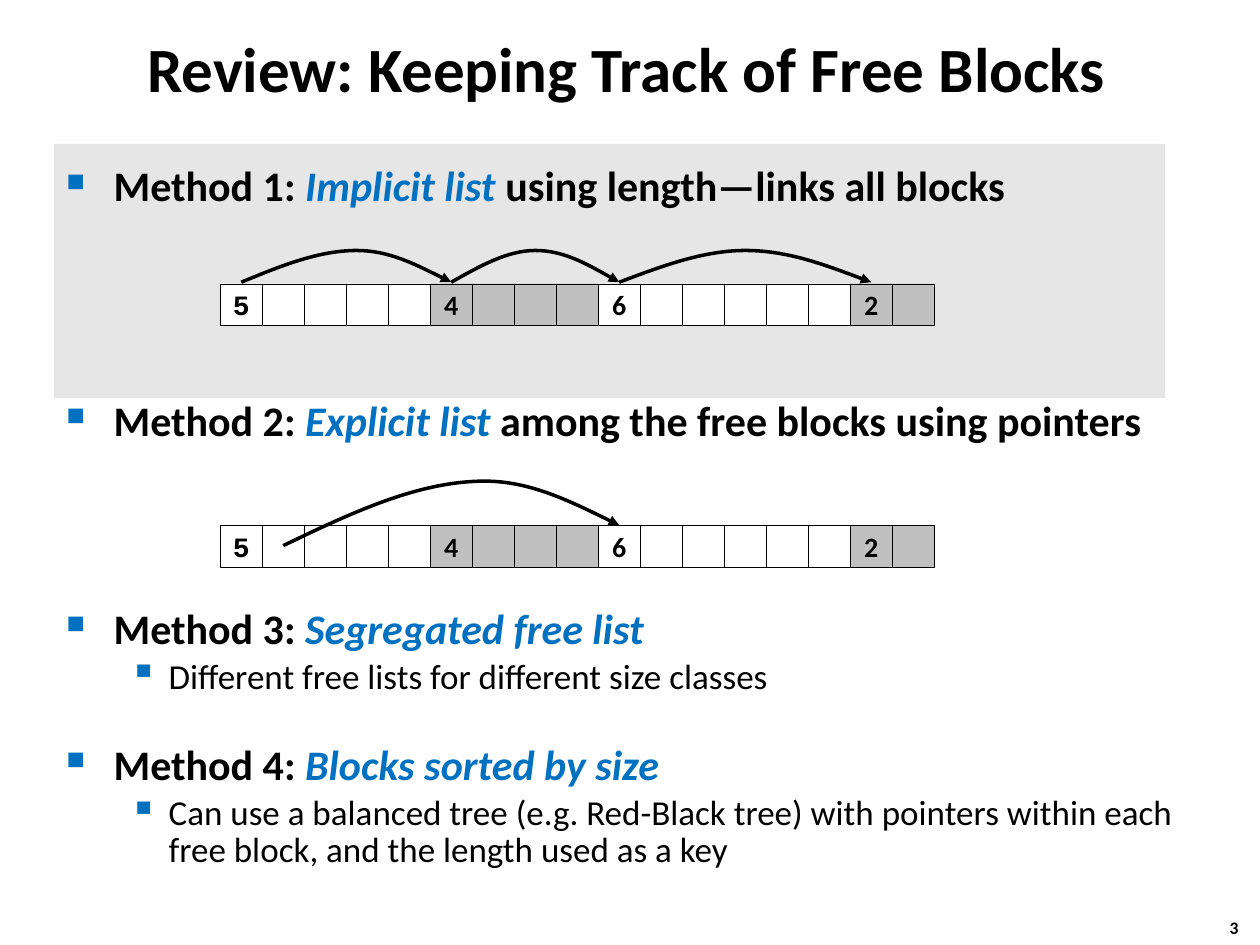
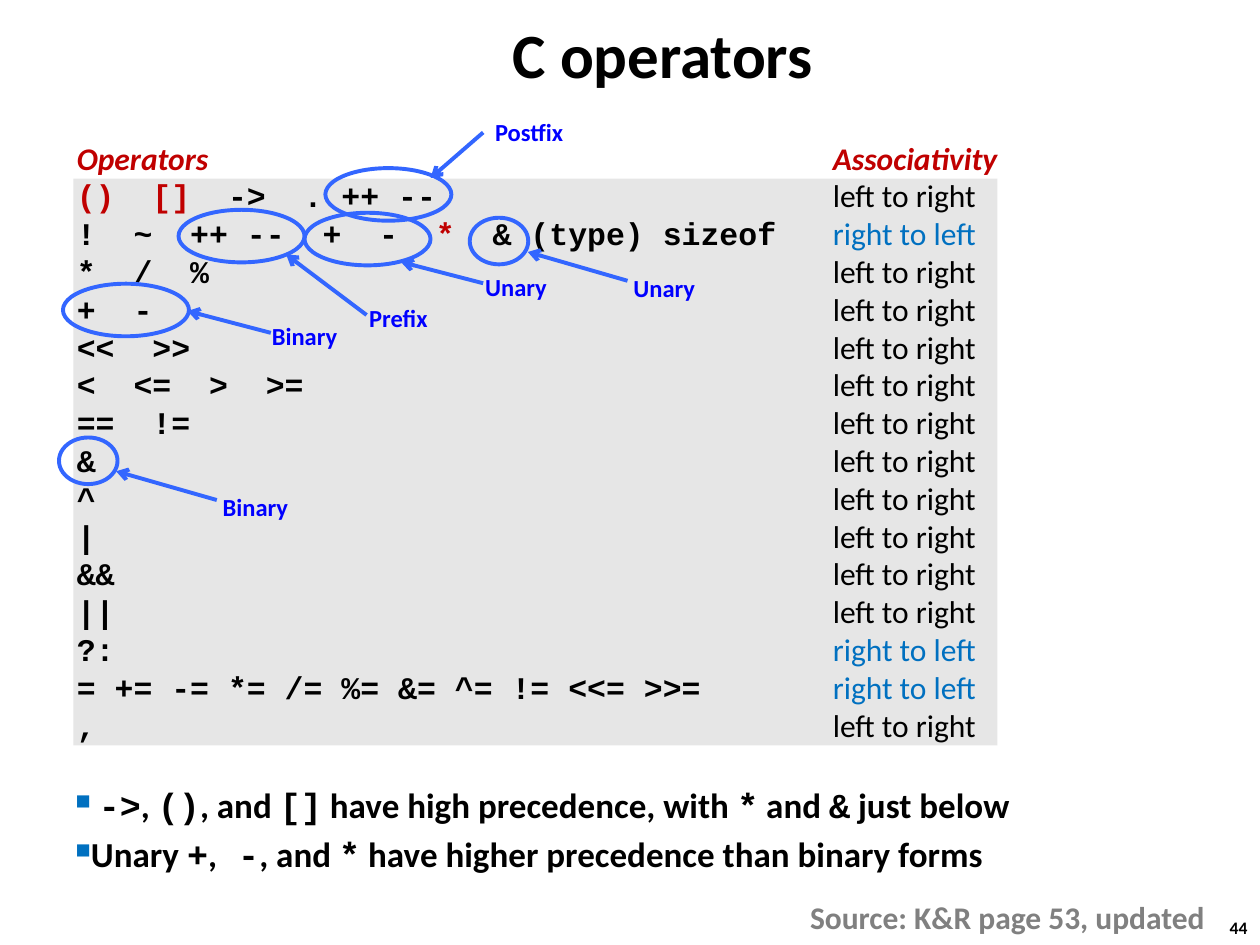
"""Build two slides on free-block tracking and C operator precedence."""
from itertools import cycle

from lxml.etree import SubElement
from pptx import Presentation
from pptx.dml.color import RGBColor
from pptx.enum.shapes import MSO_CONNECTOR, MSO_SHAPE
from pptx.enum.text import MSO_ANCHOR, PP_ALIGN
from pptx.oxml.ns import qn
from pptx.util import Cm, Pt

COLORS = {
    "black": "000000",
    "white": "FFFFFF",
    "band": "E6E6E6",
    "allocated": "C0C0C0",
    "accent": "0070C0",
    "red": "C00000",
    "label": "0000FF",
    "callout": "3366FF",
    "source": "808080",
}
SANS, MONO = "Calibri", "Courier New"
TITLE_ONLY = 5

CELL = 2.54 / 3
ROW_LEFT = 4.44
BLOCKS = [(5, "white"), (4, "allocated"), (6, "white"), (2, "allocated")]

METHODS = [
    ("Method 1: ", "Implicit list ", "using length—links all blocks", 0, 1, None),
    ("Method 2: ", "Explicit list ", "among the free blocks using pointers", 105, 1, None),
    ("Method 3: ", "Segregated free list", "", 95, 0.83,
     "Different free lists for different size classes"),
    ("Method 4: ", "Blocks sorted by size", "", 29, 0.83,
     "Can use a balanced tree (e.g. Red-Black tree) with pointers within each "
     "free block, and the length used as a key"),
]

LEFT, RIGHT = "left to right", "right to left"
OPERATORS = [
    ([("()  []  ", "red"), ("->  . ++ --", "black")], LEFT),
    ([("!  ~  ++ --  +  -  ", "black"), ("*  ", "red"), ("& (type) sizeof", "black")], RIGHT),
    ([("*  /  %", "black")], LEFT),
    ([("+  -", "black")], LEFT),
    ([("<<  >>", "black")], LEFT),
    ([("<  <=  >  >=", "black")], LEFT),
    ([("==  !=", "black")], LEFT),
    ([("&", "black")], LEFT),
    ([("^", "black")], LEFT),
    ([("|", "black")], LEFT),
    ([("&&", "black")], LEFT),
    ([("||", "black")], LEFT),
    ([("?:", "black")], RIGHT),
    ([("= += -= *= /= %= &= ^= != <<= >>=", "black")], RIGHT),
    ([(",", "black")], LEFT),
]
PRECEDENCE_NOTES = [
    [" ", "->", ", ", "()", ", and ", "[]", " have high precedence, with ", "*",
     " and ", "&", " just below"],
    ["Unary ", "+", ",", " -", ", and ", "*", " have higher precedence than binary forms"],
]

WIDE, SMALL = (2.54, 1.06), (1.18, 0.94)
LABEL_WIDTHS = {"Postfix": 1.93, "Prefix": 1.73, "Unary": 1.8, "Binary": 1.85}
CALLOUTS = [
    ("Postfix", (9.73, 2.24), (6.56, 3.39), WIDE, (9.74, 2.67), (8.68, 3.59)),
    ("Prefix", (7.19, 5.99), (3.6, 4.23), WIDE, (7.39, 6.35), (5.77, 5.13)),
    ("Unary", (9.53, 5.36), (6.14, 4.29), WIDE, (9.74, 5.71), (8.08, 5.28)),
    ("Binary", (5.23, 6.35), (1.27, 5.72), WIDE, (5.46, 6.71), (3.78, 6.27)),
    ("Unary", (12.52, 5.38), (9.47, 4.39), SMALL, (12.65, 5.66), (10.64, 5.08)),
    ("Binary", (4.24, 9.8), (1.19, 8.82), SMALL, (4.37, 10.08), (2.34, 9.5)),
]


def rgb(name):
    return RGBColor.from_string(COLORS[name])


def write(paragraph, text, *, size, font=SANS, color="black", bold=True, italic=False):
    run = paragraph.add_run()
    run.text = text
    run.font.size = Pt(size)
    run.font.name = font
    run.font.color.rgb = rgb(color)
    run.font.bold = bold
    run.font.italic = italic


def add_text_frame(slide, left, top, width, height, wrap=True):
    box = slide.shapes.add_textbox(Cm(left), Cm(top), Cm(width), Cm(height))
    box.text_frame.word_wrap = wrap
    return box.text_frame


def add_label(slide, text, left, top, width, height, **style):
    frame = add_text_frame(slide, left, top, width, height, wrap=False)
    write(frame.paragraphs[0], text, **style)


def next_paragraph(frame):
    first = frame.paragraphs[0]
    return frame.add_paragraph() if first.runs else first


def set_bullet(paragraph, character, percent, margin, indent):
    properties = paragraph._p.get_or_add_pPr()
    properties.set("marL", str(Cm(margin)))
    properties.set("indent", str(Cm(indent)))
    color = SubElement(properties, qn("a:buClr"))
    SubElement(color, qn("a:srgbClr"), val=COLORS["accent"])
    SubElement(properties, qn("a:buSzPct"), val=str(percent * 1000))
    SubElement(properties, qn("a:buChar"), char=character)


def set_tab_stop(paragraph, position):
    stops = SubElement(paragraph._p.get_or_add_pPr(), qn("a:tabLst"))
    SubElement(stops, qn("a:tab"), pos=str(Cm(position)), algn="l")


def style_line(shape, color, width, arrowhead=None):
    shape.line.color.rgb = rgb(color)
    shape.line.width = Pt(width)
    if arrowhead:
        line = shape._element.spPr.find(qn("a:ln"))
        SubElement(line, qn("a:tailEnd"), type=arrowhead)


def add_preset(slide, kind, left, top, width, height, fill=None):
    shape = slide.shapes.add_shape(kind, Cm(left), Cm(top), Cm(width), Cm(height))
    shape.shadow.inherit = False
    shape.line.fill.background()
    if fill:
        shape.fill.solid()
        shape.fill.fore_color.rgb = rgb(fill)
    else:
        shape.fill.background()
    return shape


def add_titled_slide(presentation, text, number, left, top, width, height):
    slide = presentation.slides.add_slide(presentation.slide_layouts[TITLE_ONLY])
    title = slide.shapes.title
    title.left, title.top, title.width, title.height = map(Cm, (left, top, width, height))
    title.text_frame.vertical_anchor = MSO_ANCHOR.MIDDLE
    paragraph = title.text_frame.paragraphs[0]
    paragraph.alignment = PP_ALIGN.CENTER
    write(paragraph, text, size=36)
    add_label(slide, str(number), 24.54, 18.36, 0.94, 0.69, size=10)
    return slide


def add_memory_row(slide, top):
    column = 0
    for length, fill in BLOCKS:
        for offset in range(length):
            cell = add_preset(slide, MSO_SHAPE.RECTANGLE, ROW_LEFT + column * CELL, top,
                              CELL, CELL, fill)
            style_line(cell, "black", 0.25)
            if offset == 0:
                cell.text_frame.word_wrap = False
                cell.text_frame.vertical_anchor = MSO_ANCHOR.MIDDLE
                paragraph = cell.text_frame.paragraphs[0]
                paragraph.alignment = PP_ALIGN.CENTER
                write(paragraph, str(length), size=16, font=SANS if column else MONO)
            column += 1


def add_arc(slide, first_cell, last_cell, start_y, peak_y, end_y, peak_share=0.5):
    """Draw a curved arrow between cell centres as two cubic Bezier segments."""
    start_x = ROW_LEFT + (first_cell + 0.5) * CELL
    span = (last_cell - first_cell) * CELL
    fall = 1 - peak_share
    shares = [peak_share / 3, peak_share * 2 / 3, peak_share,
              peak_share + fall / 3, peak_share + fall * 2 / 3, 1]
    heights = [(start_y + peak_y) / 2, peak_y, peak_y, peak_y, (peak_y + end_y) / 2, end_y]
    points = [(Cm(start_x + span * share), Cm(y)) for share, y in zip(shares, heights)]
    builder = slide.shapes.build_freeform(Cm(start_x), Cm(start_y))
    builder.add_line_segments(points, close=False)
    arc = builder.convert_to_shape()
    arc.shadow.inherit = False
    arc.fill.background()
    style_line(arc, "black", 2, "triangle")
    segments = list(arc._element.iter(qn("a:lnTo")))
    outline = segments[0].getparent()
    for half in (segments[:3], segments[3:]):
        curve = SubElement(outline, qn("a:cubicBezTo"))
        for segment in half:
            curve.append(segment[0])
            outline.remove(segment)


def add_arrow(slide, start, end):
    arrow = slide.shapes.add_connector(MSO_CONNECTOR.STRAIGHT, *map(Cm, start + end))
    style_line(arrow, "callout", 2.25, "arrow")
    SubElement(arrow._element.spPr, qn("a:effectLst"))


def add_callout(slide, text, label_at, ellipse_at, ellipse_size, start, end):
    ellipse = add_preset(slide, MSO_SHAPE.OVAL, *ellipse_at, *ellipse_size)
    style_line(ellipse, "callout", 2.25)
    add_arrow(slide, start, end)
    add_label(slide, text, *label_at, LABEL_WIDTHS[text], 0.86, size=14, color="label")


def add_methods(slide):
    frame = add_text_frame(slide, 1.09, 3.1, 23.04, 14.9)
    for name, technique, remark, space, spacing, detail in METHODS:
        paragraph = next_paragraph(frame)
        paragraph.space_before = Pt(space)
        paragraph.line_spacing = spacing
        set_bullet(paragraph, "■", 60, 0.95, -0.95)
        write(paragraph, name, size=24)
        write(paragraph, technique, size=24, color="accent", italic=True)
        if remark:
            write(paragraph, remark, size=24)
        if detail:
            paragraph = next_paragraph(frame)
            paragraph.level = 1
            paragraph.space_before = Pt(4)
            paragraph.line_spacing = 0.88
            set_bullet(paragraph, "▪", 110, 2.06, -0.79)
            write(paragraph, detail, size=20, bold=False)


def add_operator_list(slide):
    frame = add_text_frame(slide, 1.3, 2.67, 19.23, 12.57)
    header = next_paragraph(frame)
    set_tab_stop(header, 15.24)
    write(header, "Operators\tAssociativity", size=18, color="red", italic=True)
    for operators, direction in OPERATORS:
        paragraph = next_paragraph(frame)
        set_tab_stop(paragraph, 15.24)
        for text, color in operators:
            write(paragraph, text, size=18, font=MONO, color=color)
        write(paragraph, "\t" + direction, size=18, bold=False,
              color="accent" if direction == RIGHT else "black")


def add_precedence_notes(slide):
    frame = add_text_frame(slide, 1.27, 15.67, 19.89, 3.18)
    for index, segments in enumerate(PRECEDENCE_NOTES):
        paragraph = next_paragraph(frame)
        paragraph.space_before = Pt(4 * index)
        set_bullet(paragraph, "■", 60, 0.18, -0.66)
        for text, font in zip(segments, cycle((SANS, MONO))):
            write(paragraph, text, size=20, font=font)


def build_free_blocks(presentation):
    slide = add_titled_slide(presentation, "Review: Keeping Track of Free Blocks", 3,
                             0.84, 0.3, 23.57, 2.11)
    add_preset(slide, MSO_SHAPE.RECTANGLE, 1.09, 2.9, 22.4, 5.13, "band")
    add_methods(slide)
    add_memory_row(slide, 5.72)
    add_arc(slide, 0, 5, 5.69, 5.05, 5.69, peak_share=0.55)
    add_arc(slide, 5, 9, 5.69, 5.05, 5.69)
    add_arc(slide, 9, 15, 5.69, 5.05, 5.69)
    add_memory_row(slide, 10.59)
    add_arc(slide, 1, 9, 11, 9.7, 10.59, peak_share=0.6)


def build_operators(presentation):
    slide = add_titled_slide(presentation, "C operators", 44, 6.3, 0.28, 14.12, 1.6)
    add_preset(slide, MSO_SHAPE.RECTANGLE, 1.48, 3.6, 18.63, 11.43, "band")
    add_operator_list(slide)
    add_precedence_notes(slide)
    add_label(slide, "Source: K&R page 53, updated", 16.08, 17.98, 8.59, 1.02,
              size=18, color="source")
    for callout in CALLOUTS:
        add_callout(slide, *callout)


def main():
    presentation = Presentation()
    presentation.slide_width, presentation.slide_height = Cm(25.4), Cm(19.05)
    build_free_blocks(presentation)
    build_operators(presentation)
    presentation.save("out.pptx")


if __name__ == "__main__":
    main()
